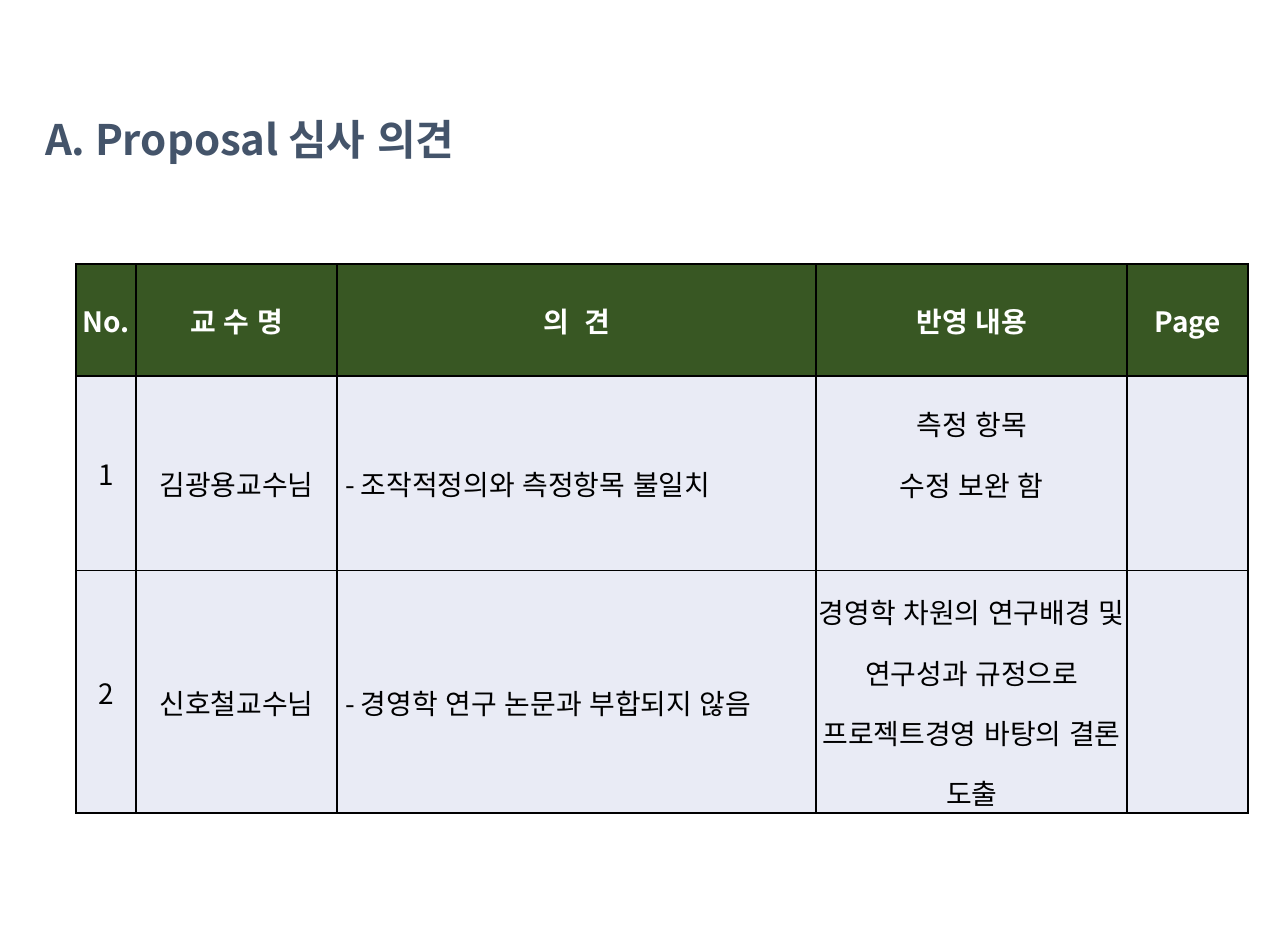
from lxml import etree
from pptx import Presentation, util as u
from pptx.dml.color import RGBColor
from pptx.enum import lang, text
from pptx.oxml.ns import qn

SCALE = 914400 / 125.8
FACE = "Noto Sans CJK KR"
MID = text.MSO_ANCHOR.MIDDLE
LEFT, CENTER = text.PP_ALIGN.LEFT, text.PP_ALIGN.CENTER
COLS = [60, 201, 479, 311, 121]
ROWS = [112, 194, 237]
HEAD = ["No.", "교 수 명", "의  견", "반영 내용", "Page"]
BODY = [
    ["1", "김광용교수님", "- 조작적정의와 측정항목 불일치", "측정 항목\n수정 보완 함", ""],
    ["2", "신호철교수님", "- 경영학 연구 논문과 부합되지 않음",
     "경영학 차원의 연구배경 및 연구성과 규정으로 프로젝트경영 바탕의 결론 도출", ""],
]


def px(n):
    return u.Emu(round(n * SCALE))


def color(code):
    return RGBColor.from_string(code)


def apply(item, values):
    for name, value in values.items():
        setattr(item, name, value)


def write(frame, words, size, ink, bold, para):
    for i, line in enumerate(words.split("\n")):
        p = frame.paragraphs[0] if i == 0 else frame.add_paragraph()
        apply(p, para)
        run = p.add_run()
        run.text = line
        apply(run.font, {"size": u.Pt(size), "bold": bold, "name": FACE,
                         "language_id": lang.MSO_LANGUAGE_ID.KOREAN})
        run.font.color.rgb = color(ink)
        east = etree.SubElement(run.font._element, qn("a:ea"))
        east.set("typeface", FACE)


def border(cell):
    props = cell._tc.get_or_add_tcPr()
    for side in ("lnL", "lnR", "lnT", "lnB"):
        line = etree.SubElement(props, qn("a:" + side), w=str(u.Pt(1)))
        fill = etree.SubElement(line, qn("a:solidFill"))
        etree.SubElement(fill, qn("a:srgbClr"), val="000000")


def heading(slide, x, y, w, h):
    title = slide.shapes.title
    apply(title, {"left": px(x), "top": px(y), "width": px(w), "height": px(h)})
    frame = title.text_frame
    apply(frame, {"word_wrap": True, "auto_size": text.MSO_AUTO_SIZE.NONE,
                  "vertical_anchor": text.MSO_ANCHOR.TOP,
                  "margin_left": px(20), "margin_top": px(2)})
    write(frame, "A. Proposal 심사 의견", 24, "44546A", True,
          {"alignment": LEFT, "line_spacing": 1.1})


def review(slide, x, y):
    table = slide.shapes.add_table(
        len(ROWS), len(COLS), px(x), px(y), px(sum(COLS)), px(sum(ROWS))).table
    apply(table, {"first_row": False, "horz_banding": False})
    for col, w in zip(table.columns, COLS):
        col.width = px(w)
    for row, h in zip(table.rows, ROWS):
        row.height = px(h)
    for r, line in enumerate([HEAD] + BODY):
        for c, words in enumerate(line):
            cell = table.cell(r, c)
            head, note = r == 0, r > 0 and c == 2
            border(cell)
            cell.fill.solid()
            cell.fill.fore_color.rgb = color("385723" if head else "E9EBF5")
            apply(cell, {"vertical_anchor": MID, "margin_left": px(8 if note else 1),
                         "margin_right": px(1), "margin_top": px(1),
                         "margin_bottom": px(60 if "\n" in words else 0)})
            if words:
                write(cell.text_frame, words, 16, "FFFFFF" if head else "000000", head,
                      {"alignment": LEFT if note else CENTER,
                       "line_spacing": 1.0 if head or c == 0 else 1.5})


def main():
    deck = Presentation()
    deck.slide_width = u.Cm(26)
    deck.slide_height = u.Cm(19.05)
    slide = deck.slides.add_slide(deck.slide_layouts[5])
    heading(slide, 25, 106, 1248, 79)
    review(slide, 76, 264)
    deck.save("out.pptx")


if __name__ == "__main__":
    main()
